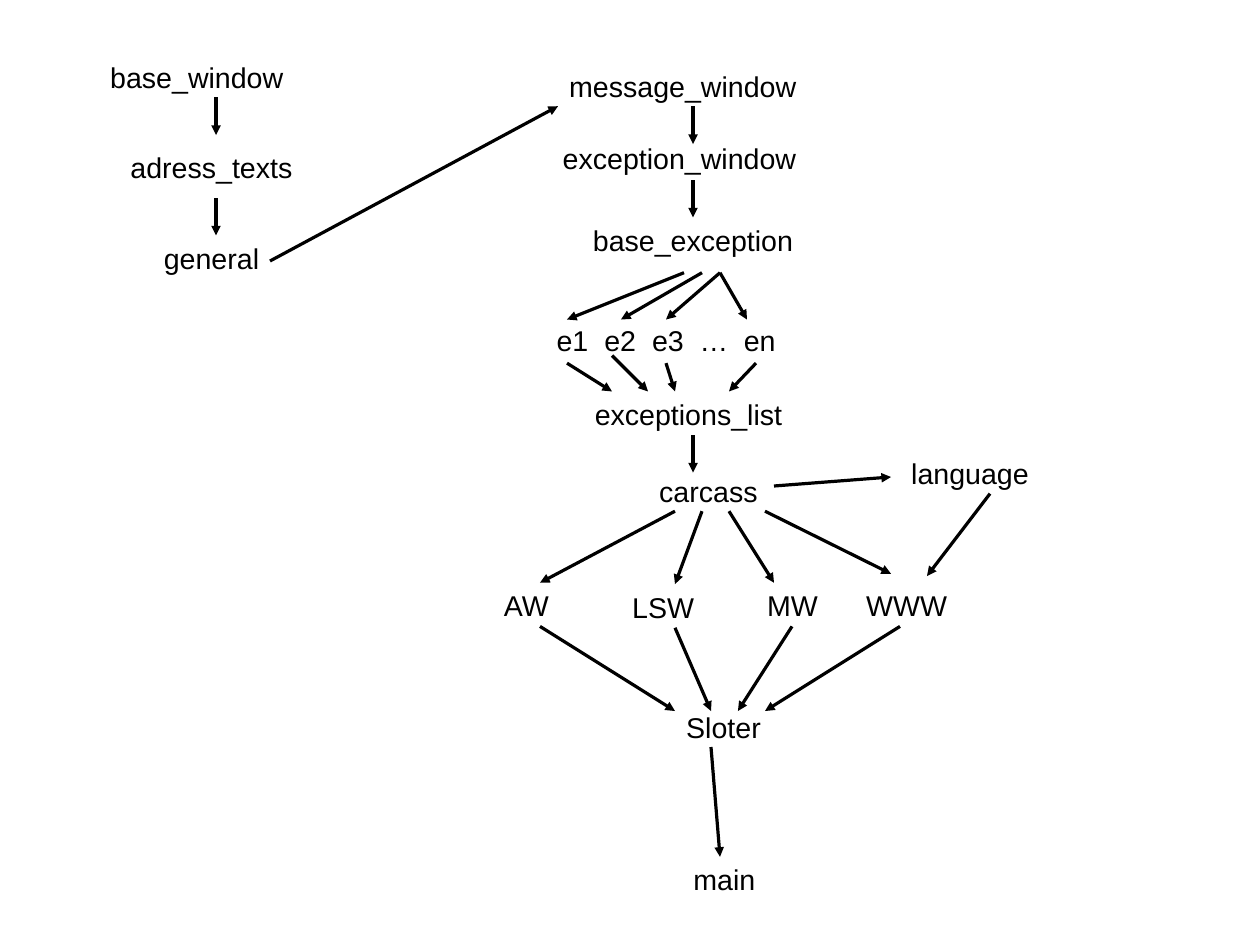
from lxml.etree import SubElement
from pptx import Presentation
from pptx.dml.color import RGBColor as Rgb
from pptx.enum.shapes import MSO_CONNECTOR as Connector
from pptx.enum.text import MSO_AUTO_SIZE as AutoSize, PP_ALIGN as Align
from pptx.oxml.ns import qn
from pptx.util import Cm, Pt

COLORS = {"ink": "000000", "paper": "FFFFFF"}
FONT = "Arial"
BOX_HEIGHT = 0.97
TOP, BOTTOM = 0, 2

MODULES = [
    ("base_window", 2.2, 1.2, 4.4, Align.LEFT),
    ("adress_texts", 2.2, 3.2, 5, Align.CENTER),
    ("general", 1.8, 5.23, 5.8, Align.CENTER),
    ("message_window", 12.4, 1.4, 5.8, Align.LEFT),
    ("exception_window", 12, 3, 6.2, Align.CENTER),
    ("base_exception", 12.8, 4.83, 5.2, Align.CENTER),
    ("e1\te2\te3\t…\ten", 12.12, 7.06, 6, Align.LEFT),
    ("exceptions_list", 12.8, 8.7, 5, Align.CENTER),
    ("carcass", 14.4, 10.4, 3.4, Align.LEFT),
    ("language", 20, 10, 3.8, Align.LEFT),
    ("AW", 10.8, 12.95, 1.8, Align.CENTER),
    ("LSW", 13.8, 12.98, 2.4, Align.LEFT),
    ("MW", 16.8, 12.95, 2.4, Align.LEFT),
    ("WWW", 19, 12.95, 3, Align.LEFT),
    ("Sloter", 15, 15.65, 3.4, Align.LEFT),
    ("main", 14.4, 19.04, 3.4, Align.CENTER),
]
EXCEPTION_TABS = [1.06, 2.12, 3.18, 4.16]

ARROWS = [
    ((4.8, 2.16), (4.8, 3)),
    ((4.8, 4.4), (4.8, 5.23)),
    ((6, 5.8), (12.4, 2.36)),
    ((15.4, 2.36), (15.4, 3.2)),
    ((15.4, 4), ("base_exception", TOP)),
    ((15.2, 6.06), (12.6, 7.1)),
    ((15.6, 6.06), (13.8, 7.1)),
    ((16, 6.06), (14.8, 7.1)),
    ((16, 6.06), (16.6, 7.1)),
    ((12.6, 8.07), (13.6, 8.7)),
    ((13.6, 7.9), (14.4, 8.7)),
    ((14.8, 8.07), (15, 8.7)),
    ((16.8, 8.07), (16.2, 8.7)),
    ((15.4, 9.67), (15.4, 10.5)),
    ((17.2, 10.8), (19.8, 10.6)),
    ((22, 10.97), (20.6, 12.8)),
    ((15, 11.36), (12, 12.95)),
    ((15.6, 11.36), ("LSW", TOP)),
    ((16.2, 11.36), (17.2, 12.95)),
    ((17, 11.36), (19.8, 12.75)),
    ((12, 13.92), (15, 15.8)),
    (("LSW", BOTTOM), (15.8, 15.8)),
    ((17.6, 13.92), (16.4, 15.8)),
    ((20, 13.92), (17, 15.8)),
    ((15.8, 16.6), (16, 19.04)),
]


def add_module(page, label, left, top, width, align):
    box = page.shapes.add_textbox(Cm(left), Cm(top), Cm(width), Cm(BOX_HEIGHT))
    frame = box.text_frame
    frame.word_wrap = True
    frame.auto_size = AutoSize.SHAPE_TO_FIT_TEXT
    frame.text = label
    para = frame.paragraphs[0]
    para.alignment = align
    if "\t" in label:
        tabs = SubElement(para._p.get_or_add_pPr(), qn("a:tabLst"))
        for stop in EXCEPTION_TABS:
            SubElement(tabs, qn("a:tab"), pos=str(Cm(stop)), algn="l")
    for span in para.runs:
        span.font.name = FONT
        span.font.size = Pt(18)
        span.font.color.rgb = Rgb.from_string(COLORS["ink"])
    return box


def add_arrow(page, boxes, start, end):
    joins = [isinstance(point[0], str) for point in (start, end)]
    begin_point = (0, 0) if joins[0] else start
    end_point = (0, 0) if joins[1] else end
    arrow = page.shapes.add_connector(
        Connector.STRAIGHT, *[Cm(value) for value in begin_point + end_point])
    if joins[0]:
        arrow.begin_connect(boxes[start[0]], start[1])
    if joins[1]:
        arrow.end_connect(boxes[end[0]], end[1])
    arrow.line.color.rgb = Rgb.from_string(COLORS["ink"])
    arrow.line.width = Pt(0)
    SubElement(arrow.line._get_or_add_ln(), qn("a:tailEnd"), type="triangle")
    SubElement(arrow._element.spPr, qn("a:effectLst"))


def main():
    deck = Presentation()
    deck.slide_width, deck.slide_height = Cm(28), Cm(21)
    page = deck.slides.add_slide(deck.slide_layouts[6])
    page.background.fill.solid()
    page.background.fill.fore_color.rgb = Rgb.from_string(COLORS["paper"])
    boxes = {module[0]: add_module(page, *module) for module in MODULES}
    for start, end in ARROWS:
        add_arrow(page, boxes, start, end)
    deck.save("out.pptx")


if __name__ == "__main__":
    main()
